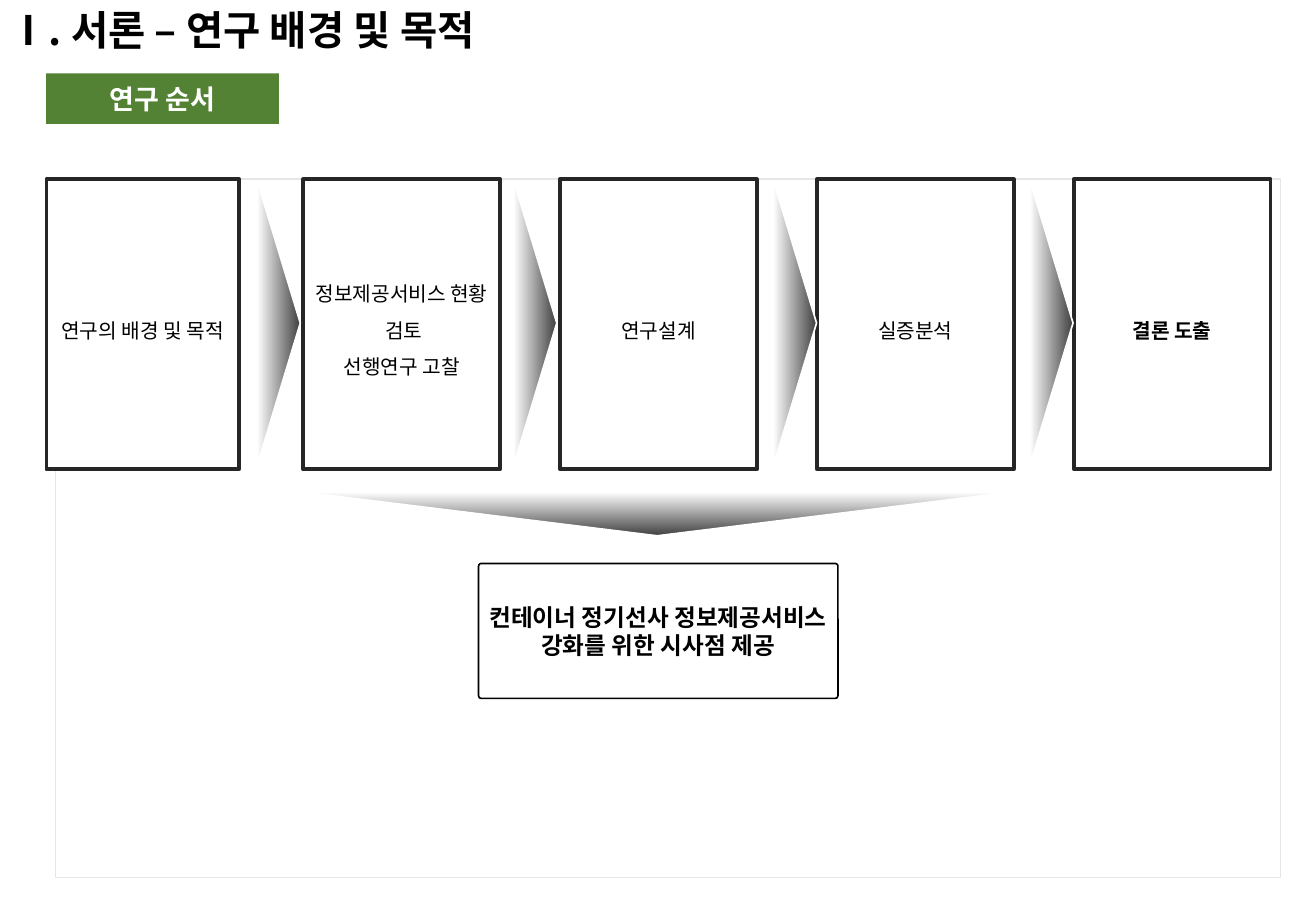
from lxml import etree
from pptx import Presentation
from pptx import util as u
from pptx.dml.color import RGBColor
from pptx.enum import shapes, text
from pptx.oxml.ns import qn

Pt = u.Pt
FONT = "Noto Sans CJK KR"
KIND = shapes.MSO_SHAPE


def add_shape(s, kind, box, fill=None, line=None, weight=1):
    """Add a shadowless preset shape; box is left, top, width, height in points."""
    sp = s.shapes.add_shape(kind, *[Pt(v) for v in box])
    sp.shadow.inherit = False
    if fill:
        sp.fill.solid()
        sp.fill.fore_color.rgb = RGBColor.from_string(fill)
    else:
        sp.fill.background()
    if line:
        sp.line.color.rgb = RGBColor.from_string(line)
        sp.line.width = Pt(weight)
    else:
        sp.line.fill.background()
    return sp


def write(sp, lines, size, color="000000", bold=True, align="CENTER", spacing=1.0, wrap=False):
    """Write each line as a paragraph, vertically centred in the shape."""
    tf = sp.text_frame
    tf.word_wrap = wrap
    tf.auto_size = text.MSO_AUTO_SIZE.NONE
    tf.vertical_anchor = text.MSO_ANCHOR.MIDDLE
    for i, words in enumerate(lines):
        p = tf.add_paragraph() if i else tf.paragraphs[0]
        p.alignment = text.PP_ALIGN[align]
        p.line_spacing = spacing
        r = p.add_run()
        r.text = words
        r.font.size, r.font.bold, r.font.name = Pt(size), bold, FONT
        r.font.color.rgb = RGBColor.from_string(color)
        etree.SubElement(r.font._element, qn("a:ea"), typeface=FONT)
    return tf


prs = Presentation()
prs.slide_width, prs.slide_height = Pt(780), Pt(540)
s = prs.slides.add_slide(prs.slide_layouts[5])

# Title and section label
title = s.shapes.title
title.left, title.top, title.width, title.height = Pt(5), Pt(3), Pt(703), Pt(29)
tf = write(title, ["Ⅰ. 서론 – 연구 배경 및 목적"], 24, align="LEFT", wrap=True)
tf.margin_left = tf.margin_right = tf.margin_top = tf.margin_bottom = 0

label = add_shape(s, KIND.RECTANGLE, (27.4, 43.5, 138, 30), "548235")
write(label, ["연구 순서"], 16, "FFFFFF")

# Frame behind the process
TOP = 106.2
add_shape(s, KIND.RECTANGLE, (33, TOP, 726, 414), line="E7E6E6")

# Process steps
steps = [
    ["연구의 배경 및 목적"],
    ["정보제공서비스 현황", " 검토", "선행연구 고찰"],
    ["연구설계"],
    ["실증분석"],
    ["결론 도출"],
]
for i, lines in enumerate(steps):
    width = 116.6 if i else 114
    step = add_shape(s, KIND.FLOWCHART_PROCESS, (27.6 + 152.2 * i, TOP, width, 172),
                     "FFFFFF", "262626", 2.25)
    write(step, lines, 12, bold=i == len(steps) - 1, spacing=1.5)

# Arrowheads: centre x, centre y, base, height, rotation
arrows = [(x, 191.5, 169.2, 25.6, 90) for x in (165.2, 317.2, 471.2, 623.2)]
arrows.append((389.5, 304.6, 422, 26, 180))
for x, y, base, height, turn in arrows:
    arrow = add_shape(s, KIND.ISOSCELES_TRIANGLE,
                      (x - base / 2, y - height / 2, base, height), line="FFFFFF")
    arrow.rotation = turn
    arrow.fill.gradient()
    arrow.fill.gradient_angle = 90
    for stop, color in zip(arrow.fill.gradient_stops, ("FFFFFF", "404040")):
        stop.color.rgb = RGBColor.from_string(color)

# Outcome
outcome = add_shape(s, KIND.ROUNDED_RECTANGLE, (283.7, 334, 213, 80), "FFFFFF", "000000")
outcome.adjustments[0] = 0.02
tf = write(outcome, ["컨테이너 정기선사 정보제공서비스", "강화를 위한 시사점 제공"], 14, wrap=True)
tf.margin_left = tf.margin_right = 0

prs.save("out.pptx")
